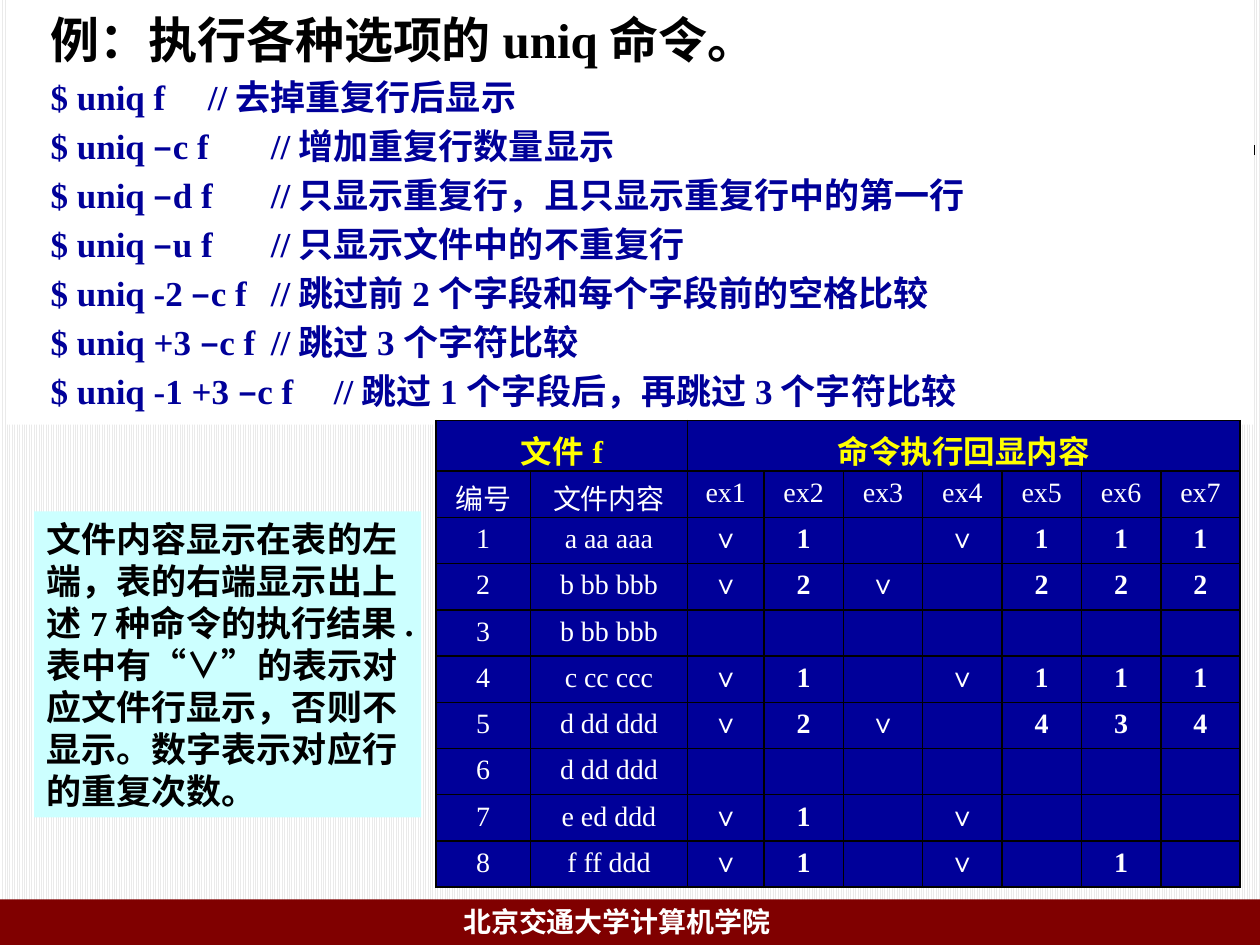
from dataclasses import dataclass
from typing import Optional

from lxml.etree import SubElement
from pptx import Presentation
from pptx.dml.color import RGBColor
from pptx.enum.dml import MSO_PATTERN
from pptx.enum.shapes import MSO_CONNECTOR, MSO_SHAPE
from pptx.enum.text import MSO_ANCHOR as Anchor, PP_ALIGN as Align
from pptx.oxml.ns import qn
from pptx.util import Cm, Pt

BLACK = RGBColor(0x00, 0x00, 0x00)
WHITE = RGBColor(0xFF, 0xFF, 0xFF)
STRIPE = RGBColor(0xEA, 0xEA, 0xEA)
MAROON = RGBColor(0x80, 0x00, 0x00)
NAVY = RGBColor(0x00, 0x00, 0x99)
YELLOW = RGBColor(0xFF, 0xFF, 0x00)
PALE_CYAN = RGBColor(0xCC, 0xFF, 0xFF)
SERIF, CJK = "Times New Roman", "Noto Sans CJK SC"


@dataclass
class Style:
    size: float
    color: RGBColor
    bold: bool = True


@dataclass
class Panel:
    left: float
    top: float
    width: float
    height: float
    fill: Optional[RGBColor] = None


@dataclass
class Command:
    call: str
    remark: str
    tab: float


TITLE = Style(28, BLACK)
COMMAND = Style(20, NAVY)
NOTE = Style(20, BLACK)
FOOTER = Style(16, WHITE)
HEADING = Style(18, YELLOW)
LABEL = Style(16, WHITE, False)
RESULT = Style(16, WHITE)

COMMANDS = [
    Command("f", "去掉重复行后显示", 4.36),
    Command("–c f", "增加重复行数量显示", 4.88),
    Command("–d f", "只显示重复行，且只显示重复行中的第一行", 5.14),
    Command("–u f", "只显示文件中的不重复行", 5.14),
    Command("-2 –c f", "跳过前2个字段和每个字段前的空格比较", 5.64),
    Command("+3 –c f", "跳过3个字符比较", 5.82),
    Command("-1 +3 –c f", "跳过1个字段后，再跳过3个字符比较", 6.57),
]
FILE_LINES = ["a aa aaa", "b bb bbb", "b bb bbb", "c cc ccc",
              "d dd ddd", "d dd ddd", "e ed ddd", "f ff ddd"]
# One character per command, ex1 to ex7; "v" stands for the check mark
ECHOES = ["v1 v111", "v2v 222", "", "v1 v111", "v2v 434", "", "v1 v", "v1 v 1"]
COLUMN_WIDTHS = [1.9, 3.17, 1.54] + [1.6] * 6
HEADING_HEIGHT, ROW_HEIGHT = 1.01, 0.93


def add_text(paragraph, text: str, style: Style, font: str = SERIF) -> None:
    run = paragraph.add_run()
    run.text = text
    values = {"name": font, "size": Pt(style.size), "bold": style.bold}
    for key, value in values.items():
        setattr(run.font, key, value)
    run.font.color.rgb = style.color
    SubElement(run.font._element, qn("a:ea")).set("typeface", CJK)


def add_mixed(paragraph, text: str, style: Style, marks: str) -> None:
    """Write the text, with the given marks set in the CJK font."""
    part = ""
    for char in text:
        if char in marks:
            if part:
                add_text(paragraph, part, style)
            add_text(paragraph, char, style, CJK)
            part = ""
        else:
            part += char
    if part:
        add_text(paragraph, part, style)


def add_panel(slide, panel: Panel):
    shape = slide.shapes.add_shape(
        MSO_SHAPE.RECTANGLE, Cm(panel.left), Cm(panel.top), Cm(panel.width), Cm(panel.height))
    shape.shadow.inherit = False
    shape.fill.solid()
    shape.fill.fore_color.rgb = panel.fill
    shape.line.fill.background()
    frame = shape.text_frame
    frame.word_wrap = True
    frame.paragraphs[0].alignment = Align.LEFT
    return frame


def indent_paragraph(paragraph, tab: Optional[float] = None) -> None:
    properties = paragraph._p.get_or_add_pPr()
    properties.set("marL", "0")
    properties.set("indent", str(Cm(0.64)))
    if tab:
        stop = SubElement(SubElement(properties, qn("a:tabLst")), qn("a:tab"))
        stop.set("pos", str(Cm(tab)))
        stop.set("algn", "l")


def add_borders(cell) -> None:
    properties = cell._tc.get_or_add_tcPr()
    for position, side in enumerate(("a:lnL", "a:lnR", "a:lnT", "a:lnB")):
        line = properties.makeelement(qn(side), {"w": str(Pt(1))})
        fill = SubElement(line, qn("a:solidFill"))
        SubElement(fill, qn("a:srgbClr")).set("val", str(BLACK))
        properties.insert(position, line)


def fill_cell(cell, text: str, style: Style, anchor: Anchor = Anchor.TOP) -> None:
    cell.fill.solid()
    cell.fill.fore_color.rgb = NAVY
    cell.vertical_anchor = anchor
    add_borders(cell)
    paragraph = cell.text_frame.paragraphs[0]
    paragraph.alignment = Align.CENTER
    if text:
        add_text(paragraph, text, style)
    else:
        paragraph.font.size = Pt(style.size)


presentation = Presentation()
presentation.slide_width, presentation.slide_height = Cm(25.4), Cm(19.05)
slide = presentation.slides.add_slide(presentation.slide_layouts[6])

# Striped background
backdrop = slide.background.fill
backdrop.patterned()
backdrop.pattern = MSO_PATTERN.LIGHT_VERTICAL
backdrop.fore_color.rgb, backdrop.back_color.rgb = STRIPE, WHITE

# Footer band, school name and title rule
add_panel(slide, Panel(0, 18.13, 25.4, 0.92, MAROON))
school = slide.shapes.add_textbox(Cm(9.09), Cm(18.11), Cm(8.43), Cm(0.94)).text_frame
school.word_wrap = True
add_text(school.paragraphs[0], "北京交通大学计算机学院", FOOTER)
rule = slide.shapes.add_connector(
    MSO_CONNECTOR.STRAIGHT, Cm(2.34), Cm(3.02), Cm(25.3), Cm(3.02))
rule.line.color.rgb = BLACK
rule.line.width = Pt(6)
SubElement(rule._element.spPr, qn("a:effectLst"))

# Command examples
examples = add_panel(slide, Panel(0.13, -0.08, 25.15, 8.64, WHITE))
examples.vertical_anchor = Anchor.MIDDLE
indent_paragraph(examples.paragraphs[0])
add_text(examples.paragraphs[0], "例：执行各种选项的uniq命令。", TITLE)
for command in COMMANDS:
    example = examples.add_paragraph()
    example.alignment = Align.LEFT
    example.space_before = Pt(4)
    indent_paragraph(example, command.tab)
    add_mixed(example, f"$ uniq {command.call}\t//{command.remark}", COMMAND, "–")

# Table of echoed lines
results = slide.shapes.add_table(
    len(FILE_LINES) + 2, len(COLUMN_WIDTHS), Cm(8.79), Cm(8.48),
    Cm(sum(COLUMN_WIDTHS)), Cm(HEADING_HEIGHT + ROW_HEIGHT * 9)).table
for column, width in zip(results.columns, COLUMN_WIDTHS):
    column.width = Cm(width)
for index, row in enumerate(results.rows):
    row.height = Cm(ROW_HEIGHT if index else HEADING_HEIGHT)

headings = ["文件f", "", "命令执行回显内容"] + [""] * 6
rows = [headings, ["编号", "文件内容"] + [f"ex{n}" for n in range(1, 8)]]
for number, (content, echo) in enumerate(zip(FILE_LINES, ECHOES), 1):
    marks = echo.replace("v", "∨").ljust(7)
    rows.append([str(number), content] + [mark.strip() for mark in marks])
for r, texts in enumerate(rows):
    for c, text in enumerate(texts):
        style = HEADING if r == 0 else RESULT if r > 1 and c > 1 else LABEL
        fill_cell(results.cell(r, c), text, style, Anchor.TOP if r else Anchor.MIDDLE)
for first, last in ((0, 1), (2, 8)):
    results.cell(0, first).merge(results.cell(0, last))

# Explanation beside the table
note = add_panel(slide, Panel(0.69, 10.31, 7.8, 6.17, PALE_CYAN))
note.vertical_anchor = Anchor.TOP
add_mixed(note.paragraphs[0],
          "文件内容显示在表的左端，表的右端显示出上述7种命令的执行结果.表中有“∨”的表示"
          "对应文件行显示，否则不显示。数字表示对应行的重复次数。", NOTE, "“”")

presentation.save("out.pptx")
